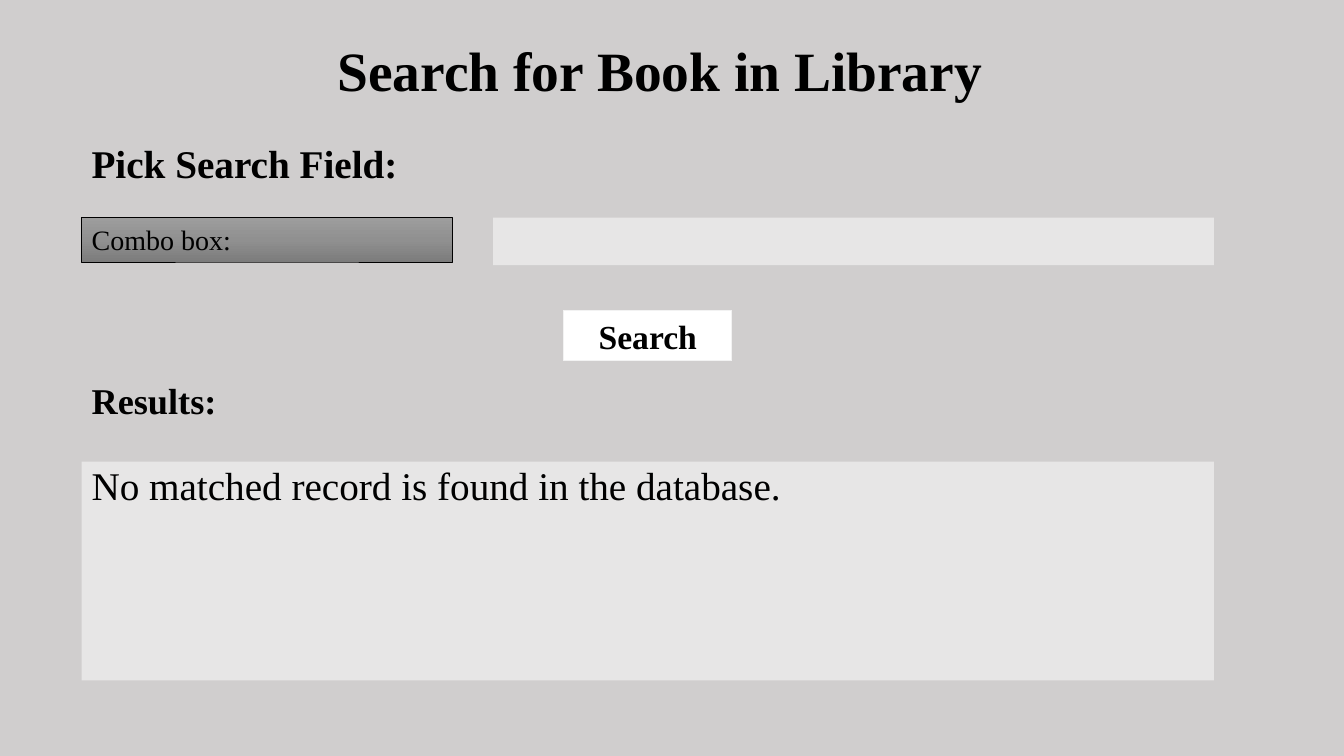
from copy import deepcopy
from dataclasses import dataclass

from pptx import Presentation
from pptx.dml.color import RGBColor
from pptx.dml.fill import FillFormat
from pptx.enum.shapes import MSO_SHAPE
from pptx.enum.text import MSO_ANCHOR, MSO_AUTO_SIZE, PP_ALIGN
from pptx.shapes.autoshape import Shape
from pptx.slide import Slide
from pptx.util import Emu, Pt

RECTANGLE = MSO_SHAPE.RECTANGLE
TOP, MIDDLE = MSO_ANCHOR.TOP, MSO_ANCHOR.MIDDLE
LEFT, CENTER = PP_ALIGN.LEFT, PP_ALIGN.CENTER
FIT_SHAPE, NO_FIT = MSO_AUTO_SIZE.SHAPE_TO_FIT_TEXT, MSO_AUTO_SIZE.NONE

EMU_PER_PX = 9144  # 100 px to the inch


@dataclass(frozen=True)
class Theme:
    font: str = "Times New Roman"
    text: str = "000000"
    background: str = "D0CECE"
    field: str = "E7E6E6"
    button: str = "FFFFFF"
    button_edge: str = "F2F2F2"
    combo_edge: str = "000000"
    combo_gradient: tuple[str, str, str] = ("9D9D9D", "909090", "7C7C7C")
    title_size: float = 39.6
    body_size: float = 28
    results_size: float = 25.9
    button_size: float = 24
    combo_size: float = 20


THEME = Theme()


@dataclass(frozen=True)
class Box:
    left: int
    top: int
    width: int
    height: int
    fill: str | tuple[str, str, str] = THEME.background
    edge: str | None = None
    edge_width: float = 0.75
    text: str = ""
    size: float = THEME.body_size
    bold: bool = False
    align: PP_ALIGN = LEFT
    anchor: MSO_ANCHOR = TOP
    line_spacing: float = 1.0
    space_before: float = 0
    grows: bool = False


MARGIN = 81  # left edge shared by the labels and fields
FIELD_TOP = 216
FIELD_RIGHT = 1204
QUERY_LEFT = 489

BOXES = (
    # Headings
    Box(289, 44, 731, 58, text="Search for Book in Library", size=THEME.title_size,
        bold=True, align=CENTER, anchor=MIDDLE, line_spacing=0.9),
    Box(MARGIN, 139, 349, 56, text="Pick Search Field:", bold=True,
        line_spacing=0.9, space_before=10),
    # Search controls
    Box(MARGIN, FIELD_TOP, 368, 44, fill=THEME.combo_gradient, edge=THEME.combo_edge,
        edge_width=0.5, text="Combo box:", size=THEME.combo_size, grows=True),
    Box(QUERY_LEFT, FIELD_TOP, FIELD_RIGHT - QUERY_LEFT, 47, fill=THEME.field),
    Box(559, 308, 167, 50, fill=THEME.button, edge=THEME.button_edge, text="Search",
        size=THEME.button_size, bold=True, align=CENTER, anchor=MIDDLE, grows=True),
    # Results
    Box(MARGIN, 375, 149, 56, text="Results:", size=THEME.results_size, bold=True,
        line_spacing=0.9, space_before=10),
    Box(MARGIN, 458, FIELD_RIGHT - MARGIN, 217, fill=THEME.field,
        text="No matched record is found in the database.",
        line_spacing=0.9, space_before=10),
)


def px(length: int) -> Emu:
    return Emu(length * EMU_PER_PX)


def rgb(color: str) -> RGBColor:
    return RGBColor.from_string(color)


def fill_solid(fill: FillFormat, color: str) -> None:
    fill.solid()
    fill.fore_color.rgb = rgb(color)


def fill_gradient(shape: Shape, colors: tuple[str, str, str]) -> None:
    """Fill from top to bottom with three evenly spaced colours."""
    shape.fill.gradient()
    shape.fill.gradient_angle = 270
    stop_list = shape.fill._fill._gradFill.gsLst
    stop_list.insert(1, deepcopy(stop_list[0]))
    for index, (stop, color) in enumerate(zip(shape.fill.gradient_stops, colors)):
        stop.position = index / (len(colors) - 1)
        stop.color.rgb = rgb(color)


def write_text(shape: Shape, box: Box) -> None:
    frame = shape.text_frame
    frame.text = box.text
    frame.word_wrap = True
    frame.vertical_anchor = box.anchor
    frame.auto_size = FIT_SHAPE if box.grows else NO_FIT
    paragraph = frame.paragraphs[0]
    paragraph.alignment = box.align
    paragraph.line_spacing = box.line_spacing
    paragraph.space_before = Pt(box.space_before)
    font = paragraph.runs[0].font
    font.name = THEME.font
    font.size = Pt(box.size)
    font.bold = box.bold
    font.color.rgb = rgb(THEME.text)


def draw_box(slide: Slide, box: Box) -> None:
    shape = slide.shapes.add_shape(
        RECTANGLE, px(box.left), px(box.top), px(box.width), px(box.height))
    shape.shadow.inherit = False
    if isinstance(box.fill, tuple):
        fill_gradient(shape, box.fill)
    else:
        fill_solid(shape.fill, box.fill)
    if box.edge:
        shape.line.color.rgb = rgb(box.edge)
        shape.line.width = Pt(box.edge_width)
    else:
        shape.line.fill.background()
    if box.text:
        write_text(shape, box)


def main() -> None:
    presentation = Presentation()
    presentation.slide_width = px(1333)
    presentation.slide_height = px(750)
    slide = presentation.slides.add_slide(presentation.slide_layouts[6])
    fill_solid(slide.background.fill, THEME.background)
    for box in BOXES:
        draw_box(slide, box)
    presentation.save("out.pptx")


if __name__ == "__main__":
    main()
